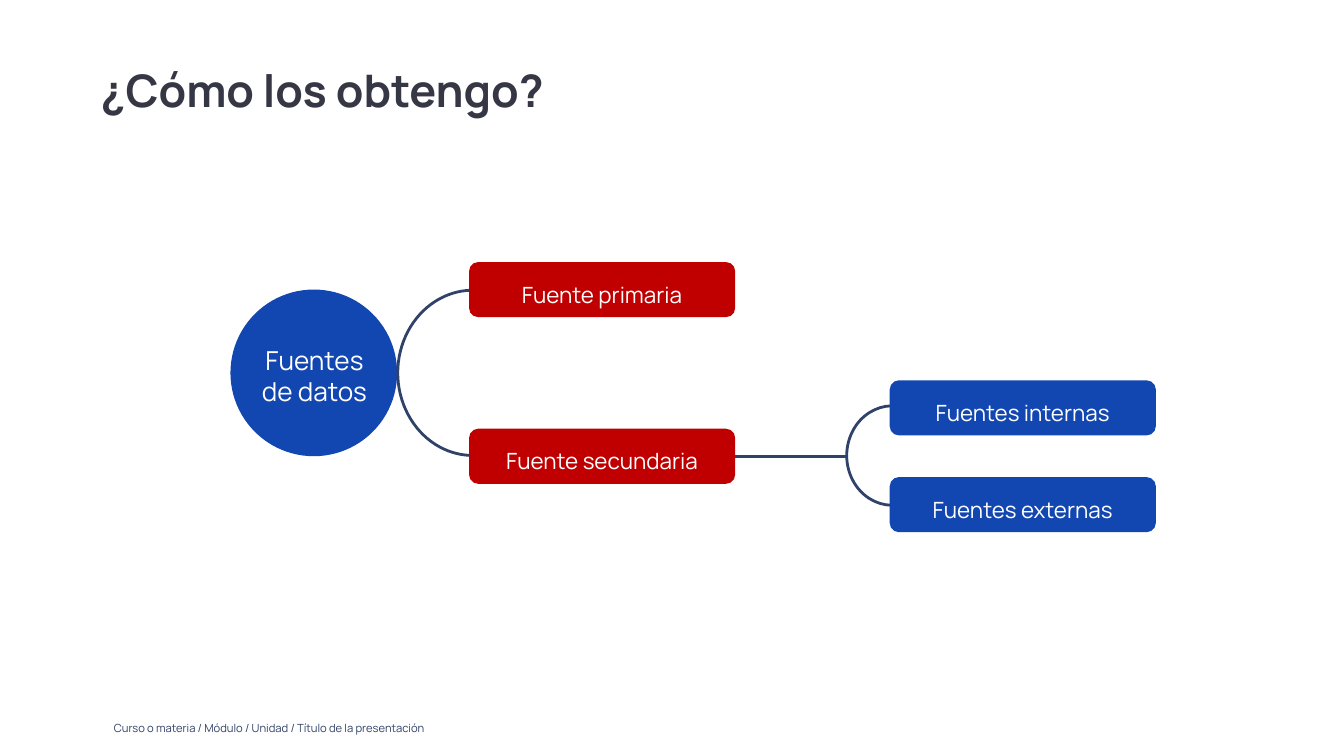
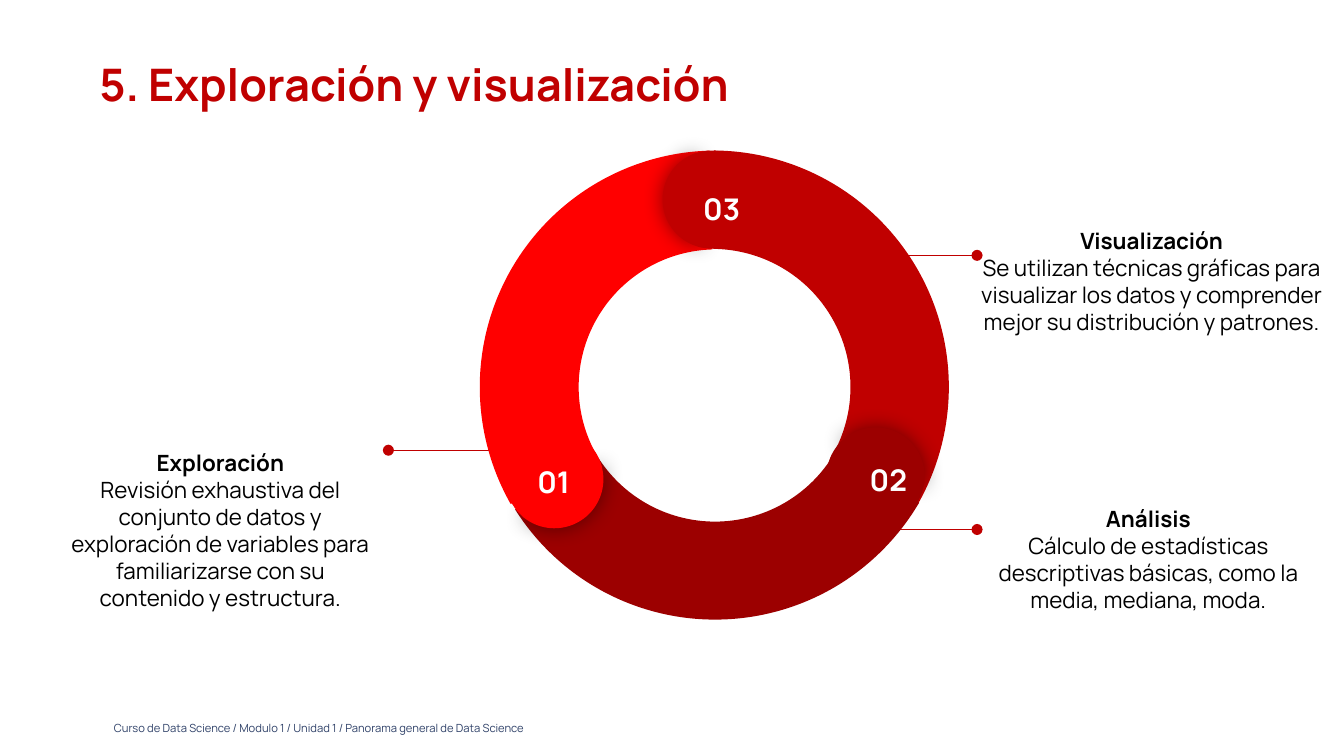
from dataclasses import dataclass

from lxml import etree
from pptx import Presentation
from pptx.dml.color import RGBColor
from pptx.enum.shapes import MSO_CONNECTOR, MSO_SHAPE
from pptx.enum.text import MSO_ANCHOR, PP_ALIGN
from pptx.oxml.ns import qn
from pptx.util import Inches, Pt

ARC, BLOCK_ARC, PIE = MSO_SHAPE.ARC, MSO_SHAPE.BLOCK_ARC, MSO_SHAPE.PIE
OVAL, ROUNDED = MSO_SHAPE.OVAL, MSO_SHAPE.ROUNDED_RECTANGLE
STRAIGHT = MSO_CONNECTOR.STRAIGHT
LEFT, CENTER = PP_ALIGN.LEFT, PP_ALIGN.CENTER
TOP, MIDDLE = MSO_ANCHOR.TOP, MSO_ANCHOR.MIDDLE

# The slide is a grid of square cells
COLS, ROWS = 100, 56.25
CELL = Inches(10) / COLS
ANGLE_UNIT = 0.6  # adjustment value of one degree


@dataclass(frozen=True)
class Theme:
    font: str = "Manrope"
    ink: str = "353744"
    navy: str = "304269"
    blue: str = "1246B0"
    red: str = "C00000"
    dark_red: str = "9C0000"
    bright_red: str = "FF0000"
    white: str = "FFFFFF"
    black: str = "000000"
    title: int = 24
    number: int = 16
    hub: int = 14
    body: int = 12
    footer: int = 6
    thin: float = 0.75
    thick: float = 1.5


T = Theme()


@dataclass(frozen=True)
class Box:
    """Area in grid cells."""
    x: float
    y: float
    w: float
    h: float

    def at(self, x, y, w, h):
        return Box(self.x + x, self.y + y, w, h)

    def emu(self):
        return [round(v * CELL) for v in (self.x, self.y, self.w, self.h)]


PAGE = Box(0, 0, COLS, ROWS)


def rgb(color):
    return RGBColor.from_string(color)


def add_text(s, box, lines, size, color, bold=False, align=LEFT,
             anchor=TOP, inset=1, spacing=None):
    """Text box; bold applies to the first line only."""
    tf = s.shapes.add_textbox(*box.emu()).text_frame
    tf.word_wrap = True
    tf.vertical_anchor = anchor
    tf.margin_left = tf.margin_right = round(inset * CELL)
    tf.margin_top = tf.margin_bottom = round(inset * CELL)
    tf.text = "\n".join(lines)
    for i, p in enumerate(tf.paragraphs):
        p.alignment = align
        p.line_spacing = spacing
        for r in p.runs:
            r.font.name, r.font.size = T.font, Pt(size)
            r.font.bold = bold and i == 0
            r.font.color.rgb = rgb(color)
    return tf


def add_shape(s, kind, box, fill=None, line=None, width=T.thin, adj=(), turn=0):
    sp = s.shapes.add_shape(kind, *box.emu())
    sp.shadow.inherit = False
    sp.rotation = turn
    for i, value in enumerate(adj):
        sp.adjustments[i] = value
    if fill:
        sp.fill.solid()
        sp.fill.fore_color.rgb = rgb(fill)
    else:
        sp.fill.background()
    if line:
        sp.line.color.rgb = rgb(line)
        sp.line.width = Pt(width)
    else:
        sp.line.fill.background()
    return sp


def add_line(s, x1, x2, y, color, width, dot=False):
    """Horizontal line, with an optional dot at its end."""
    cn = s.shapes.add_connector(
        STRAIGHT, *[round(v * CELL) for v in (x1, y, x2, y)])
    cn.line.color.rgb = rgb(color)
    cn.line.width = Pt(width)
    if dot:
        etree.SubElement(cn.line._get_or_add_ln(), qn("a:tailEnd"), type="oval")
    etree.SubElement(cn._element.spPr, qn("a:effectLst"))


def add_glow(sp):
    """Soft black shadow on all sides."""
    effects = sp._element.spPr.find(qn("a:effectLst"))
    shadow = etree.SubElement(effects, qn("a:outerShdw"),
                              blurRad=str(Pt(11.2)), dist="0", dir="0")
    color = etree.SubElement(shadow, qn("a:srgbClr"), val=T.black)
    etree.SubElement(color, qn("a:alpha"), val="43000")


def add_title(s, box, text, color, inset):
    add_text(s, box, [text], T.title, color, bold=True, inset=inset, spacing=0.9)


def add_footer(s, text):
    add_text(s, PAGE.at(7.5, 53.2, 67.4, 2.4), [text], T.footer, T.navy)


# Slide 1: tree of data sources
def add_bracket(s, box, end):
    sp = add_shape(s, ARC, box, line=T.navy, width=T.thick,
                   adj=(271.49 * ANGLE_UNIT, end * ANGLE_UNIT))
    sp._element.spPr.find(qn("a:xfrm")).set("flipH", "1")


def add_pill(s, box, text, color):
    add_shape(s, ROUNDED, box, color, adj=(0.167,))
    add_text(s, box.at(0.95, 0.1, 17.9, 2.9), [text], T.body, T.white,
             align=CENTER, spacing=1.15)


def source_tree(s, box):
    # Hub
    add_shape(s, OVAL, box.at(0, 2.1, 12.3, 12.3), T.blue, T.blue)
    add_bracket(s, box.at(12.4, 2.1, 11.2, 12.3), 87.73)
    add_text(s, box.at(0.6, 5.1, 11.2, 6.8), ["Fuentes de datos"], T.hub,
             T.white, align=CENTER)
    # Second branch
    add_bracket(s, box.at(45.8, 10.7, 6.8, 7.4), 88.86)
    add_line(s, box.x + 45.9, box.x + 34.1, box.y + 14.45, T.navy, T.thick)
    # Leaves
    for x, y, text, color in (
            (17.7, 0, "Fuente primaria", T.red),
            (17.7, 12.4, "Fuente secundaria", T.red),
            (49, 8.8, "Fuentes internas", T.blue),
            (49, 16, "Fuentes externas", T.blue)):
        add_pill(s, box.at(x, y, 19.8, 4.1), text, color)


# Slide 2: ring of three stages
def add_arc(s, box, angle, color, end, depth):
    add_shape(s, BLOCK_ARC, box, color, turn=angle + 60,
              adj=(210.38 * ANGLE_UNIT, end * ANGLE_UNIT, depth))


def add_cap(s, box, angle, color):
    """Round head of an arc: a shaded half over the next arc, a plain half."""
    halves = ((0.6, 103.17, 249.94), (180, 67.14, 286.4))
    for i, (turn, start, end) in enumerate(halves):
        sp = add_shape(s, PIE, box, color, turn=(angle + turn) % 360,
                       adj=(start * ANGLE_UNIT, end * ANGLE_UNIT))
        if i == 0:
            add_glow(sp)


def stage_ring(s, box):
    # Arcs
    for x, y, angle, color, end, depth in (
            (0, 0.3, 0, T.red, 329.69, 0.208),
            (0.2, 0, 120, T.dark_red, 327.71, 0.207),
            (0.3, 0.3, 240, T.bright_red, 328.39, 0.209)):
        add_arc(s, box.at(x, y, 35.2, 35.2), angle, color, end, depth)
    # Caps
    for x, y, angle, color in ((2.2, 21.1, 240, T.bright_red),
                               (13.9, 0.3, 0, T.red),
                               (26.1, 20.9, 120, T.dark_red)):
        add_cap(s, box.at(x, y, 7.3, 7.3), angle, color)
    # Numbers, centred in their boxes
    for x, y, w, h, text in ((14.6, 2.4, 7.4, 4.5, "03"),
                             (2.6, 23.2, 6.4, 3.4, "01"),
                             (26.5, 22.9, 8.4, 3.8, "02")):
        add_text(s, box.at(x, y, w, h), [text], T.number, T.white, bold=True,
                 align=CENTER, anchor=MIDDLE, inset=0)


def add_note(s, box, heading, body):
    tf = add_text(s, box, [heading, body], T.body, T.black, bold=True,
                  align=CENTER, anchor=MIDDLE, inset=2)
    tf.paragraphs[-1].space_after = Pt(32)


def exploration(s, box):
    # Leaders that start behind the ring
    for x1, x2, y in ((61.9, 72.7, 39.4), (42.7, 28.9, 33.5)):
        add_line(s, box.x + x1, box.x + x2, box.y + y, T.red, T.thin, dot=True)
    stage_ring(s, box.at(35.4, 10.9, 35.5, 35.4))
    add_line(s, box.x + 61.9, box.x + 72.7, box.y + 19, T.red, T.thin, dot=True)
    # Notes
    add_note(s, box.at(3.3, 31.5, 26.2, 15.9), "Exploración",
             "Revisión exhaustiva del conjunto de datos y exploración de "
             "variables para familiarizarse con su contenido y estructura.")
    add_note(s, box.at(71.4, 34.3, 28.1, 14.6), "Análisis",
             "Cálculo de estadísticas descriptivas básicas, como la media, "
             "mediana, moda.")
    add_note(s, box.at(70.2, 6.8, 31, 28.2), "Visualización",
             "Se utilizan técnicas gráficas para visualizar los datos y "
             "comprender mejor su distribución y patrones.")


def main():
    prs = Presentation()
    prs.slide_width, prs.slide_height = round(COLS * CELL), round(ROWS * CELL)
    blank = prs.slide_layouts[6]

    s = prs.slides.add_slide(blank)
    add_footer(s, "Curso o materia / Módulo / Unidad / Título de la presentación")
    add_title(s, PAGE.at(7.5, 5.1, 43.9, 4.3), "¿Cómo los obtengo?", T.ink, 0)
    source_tree(s, PAGE.at(17.2, 19.5, 68.8, 20.1))

    s = prs.slides.add_slide(blank)
    add_title(s, PAGE.at(6.4, 3.7, 65.2, 5.7), "5. Exploración y visualización",
              T.red, 1)
    add_footer(s, "Curso de Data Science / Modulo 1 / Unidad 1 / "
                  "Panorama general de Data Science")
    exploration(s, PAGE)

    prs.save("out.pptx")


if __name__ == "__main__":
    main()
